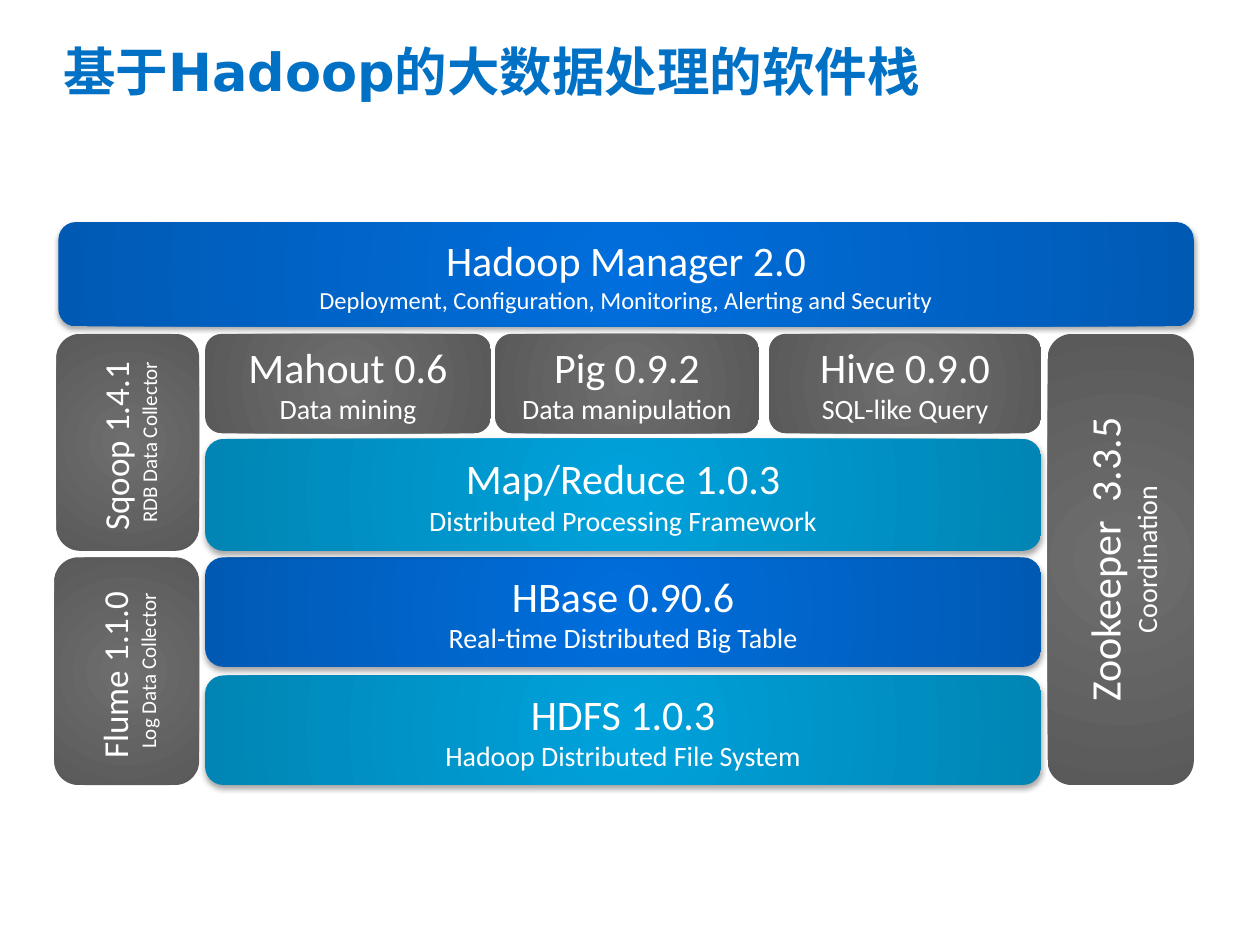
"""Builds a slide of the Hadoop big data software stack."""
from dataclasses import dataclass

from pptx import Presentation
from pptx.dml.color import RGBColor
from pptx.enum.shapes import MSO_SHAPE as Preset
from pptx.enum.text import MSO_ANCHOR as Anchor, PP_ALIGN as Align
from pptx.oxml import parse_xml
from pptx.oxml.ns import nsdecls, qn
from pptx.util import Pt

BLUE = ("006EDC", "005AB4")
CYAN = ("00A2DC", "0085B4")
GREY = ("6E6E6E", "5A5A5A")

CENTRE_LEFT, CENTRE_WIDTH = 117.2, 477.8
TOOLS_TOP, TOOLS_HEIGHT = 190.8, 56.8
HBASE_TOP, BASE_BOTTOM = 318.5, 448.6
LAYER_HEIGHT = 62.6


@dataclass
class Block:
    name: str
    role: str
    left: float
    top: float
    width: float
    height: float
    gradient: tuple[str, str]
    name_size: float = 24
    role_size: float = 16
    vertical: bool = False


BLOCKS = [
    Block("HDFS 1.0.3", "Hadoop Distributed File System", CENTRE_LEFT,
          BASE_BOTTOM - LAYER_HEIGHT, CENTRE_WIDTH, LAYER_HEIGHT, CYAN),
    Block("HBase 0.90.6", "Real-time Distributed Big Table", CENTRE_LEFT,
          HBASE_TOP, CENTRE_WIDTH, LAYER_HEIGHT, BLUE),
    Block("Map/Reduce 1.0.3", "Distributed Processing Framework", CENTRE_LEFT,
          250.8, CENTRE_WIDTH, 64, CYAN),
    Block("Hive 0.9.0", "SQL-like Query", 439.4, TOOLS_TOP, 155.6, TOOLS_HEIGHT, GREY),
    Block("Sqoop 1.4.1 ", "RDB Data Collector", 32.2, TOOLS_TOP, 81.6, 124, GREY,
          20, 12, True),
    Block("Flume 1.1.0 ", "Log Data Collector", 31, HBASE_TOP, 82.8,
          BASE_BOTTOM - HBASE_TOP, GREY, 20, 12, True),
    Block("Hadoop Manager 2.0",
          "Deployment, Configuration, Monitoring, Alerting and Security",
          33.4, 126.9, 648.8, 59.6, BLUE, role_size=14),
    Block("Zookeeper  3.3.5", "Coordination", 598.6, TOOLS_TOP, 83.6,
          BASE_BOTTOM - TOOLS_TOP, GREY, vertical=True),
    Block("Pig 0.9.2", "Data manipulation", 282.8, TOOLS_TOP, 151, TOOLS_HEIGHT, GREY),
    Block("Mahout 0.6", "Data mining", CENTRE_LEFT, TOOLS_TOP, 163.4, TOOLS_HEIGHT, GREY),
]


def colour(value: str) -> RGBColor:
    return RGBColor.from_string(value)


def set_radial_fill(shape, gradient: tuple[str, str]) -> None:
    shape.fill.gradient()
    for stop, value in zip(shape.fill.gradient_stops, gradient):
        stop.color.rgb = colour(value)
    gradient_fill = shape.element.spPr.find(qn("a:gradFill"))
    gradient_fill.replace(gradient_fill.find(qn("a:lin")), parse_xml(
        f'<a:path {nsdecls("a")} path="circle">'
        '<a:fillToRect l="50000" t="50000" r="50000" b="50000"/></a:path>'))


def add_drop_shadow(shape) -> None:
    shape.element.spPr.find(qn("a:effectLst")).append(parse_xml(
        f'<a:outerShdw {nsdecls("a")} blurRad="{Pt(3.1)}" dist="{Pt(1.8)}" '
        'dir="5400000" rotWithShape="0"><a:srgbClr val="000000">'
        '<a:alpha val="35000"/></a:srgbClr></a:outerShdw>'))


def add_block(slide, block: Block) -> None:
    shape = slide.shapes.add_shape(
        Preset.FLOWCHART_ALTERNATE_PROCESS, Pt(block.left), Pt(block.top),
        Pt(block.width), Pt(block.height))
    shape.line.fill.background()
    shape.shadow.inherit = False
    set_radial_fill(shape, block.gradient)
    if block.gradient != GREY:
        add_drop_shadow(shape)
    frame = shape.text_frame
    frame.word_wrap = False
    frame.vertical_anchor = Anchor.MIDDLE
    if block.vertical:
        shape.element.txBody.find(qn("a:bodyPr")).set("vert", "vert270")
    frame.text = f"{block.name}\n{block.role}"
    for paragraph, size in zip(frame.paragraphs, (block.name_size, block.role_size)):
        paragraph.alignment = Align.CENTER
        paragraph.font.name = "Calibri"
        paragraph.font.size = Pt(size)
        paragraph.font.color.rgb = colour("FFFFFF")


def add_title(slide, text: str) -> None:
    box = slide.shapes.add_textbox(Pt(36.2), Pt(32.4), Pt(648), Pt(70))
    frame = box.text_frame
    frame.word_wrap = True
    frame.margin_left = frame.margin_right = frame.margin_top = frame.margin_bottom = 0
    paragraph = frame.paragraphs[0]
    paragraph.text = text
    paragraph.line_spacing = Pt(26)
    paragraph.font.name = "DejaVu Sans"
    paragraph.font.size = Pt(30)
    paragraph.font.bold = True
    paragraph.font.color.rgb = colour("0071C5")


def main() -> None:
    presentation = Presentation()
    presentation.slide_width, presentation.slide_height = Pt(720), Pt(540)
    slide = presentation.slides.add_slide(presentation.slide_layouts[6])
    add_title(slide, "基于Hadoop的大数据处理的软件栈")
    for block in BLOCKS:
        add_block(slide, block)
    presentation.save("out.pptx")


if __name__ == "__main__":
    main()
